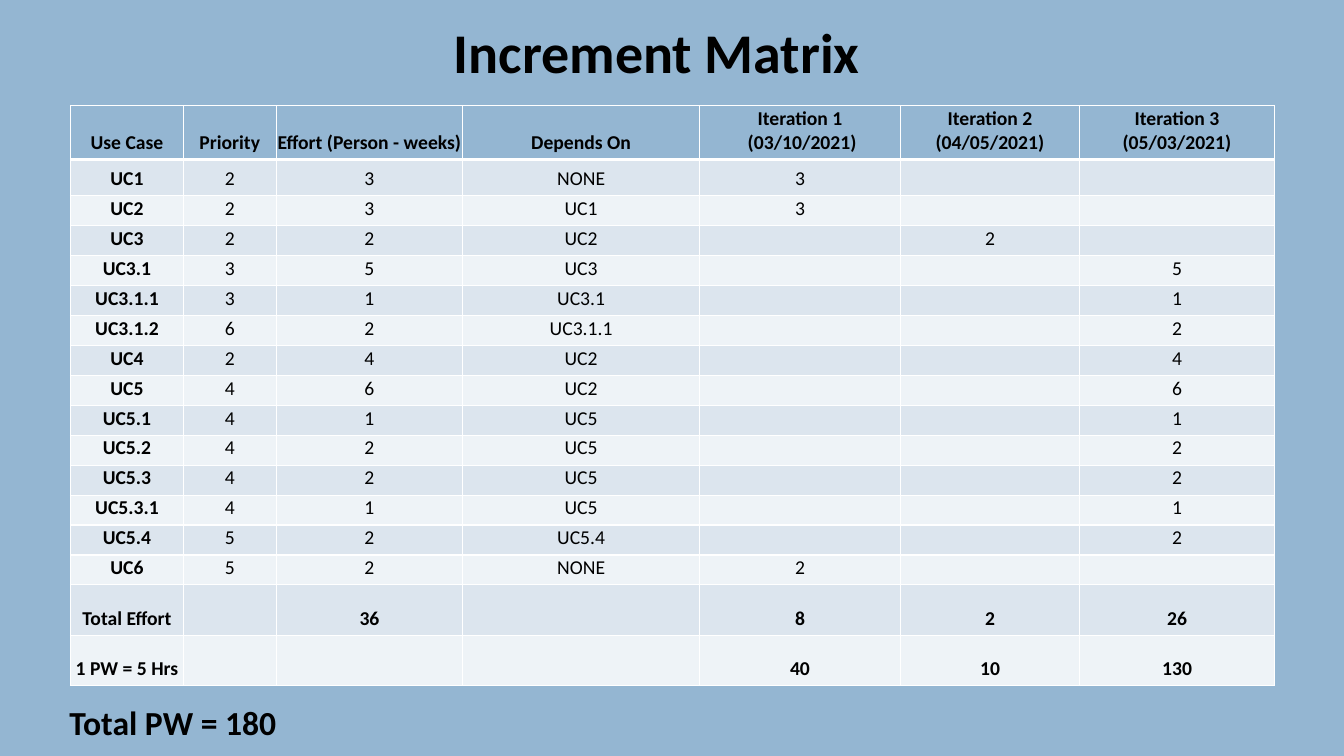
from lxml import etree
from pptx import Presentation
from pptx.dml.color import RGBColor
from pptx.enum.text import MSO_ANCHOR, PP_ALIGN
from pptx.oxml.ns import qn
from pptx.util import Inches, Pt

CENTER, LEFT = PP_ALIGN.CENTER, PP_ALIGN.LEFT
TOP, BOTTOM = MSO_ANCHOR.TOP, MSO_ANCHOR.BOTTOM
BLUE, WHITE, BLACK = "94B6D2", "FFFFFF", "000000"
BANDS = ("DCE5EE", "EEF3F7")
FONT = "Calibri"
SIZE = 14
HOURS = 5
WIDTHS = (1.12, 0.92, 1.85, 2.35, 1.99, 1.78, 1.93)
HEIGHTS = [0.53, 0.36] + [0.29] * 13 + [0.5] * 2
MARGINS = {"margin_left": 0.01, "margin_right": 0.01,
           "margin_top": 0.01, "margin_bottom": 0.05}
HEADS = ("Use Case", "Priority", "Effort (Person - weeks)", "Depends On",
         "Iteration 1\n (03/10/2021)", "Iteration 2 (04/05/2021)",
         "Iteration 3 (05/03/2021)")
# Use case, priority, effort, dependency, iteration
CASES = (
    ("UC1", 2, 3, "NONE", 1),
    ("UC2", 2, 3, "UC1", 1),
    ("UC3", 2, 2, "UC2", 2),
    ("UC3.1", 3, 5, "UC3", 3),
    ("UC3.1.1", 3, 1, "UC3.1", 3),
    ("UC3.1.2", 6, 2, "UC3.1.1", 3),
    ("UC4", 2, 4, "UC2", 3),
    ("UC5", 4, 6, "UC2", 3),
    ("UC5.1", 4, 1, "UC5", 3),
    ("UC5.2", 4, 2, "UC5", 3),
    ("UC5.3", 4, 2, "UC5", 3),
    ("UC5.3.1", 4, 1, "UC5", 3),
    ("UC5.4", 5, 2, "UC5.4", 3),
    ("UC6", 5, 2, "NONE", 1),
)


def color(code):
    """Turn a hex string into a colour."""
    return RGBColor.from_string(code)


def write(frame, text, size, bold, align):
    """Fill a text frame with formatted paragraphs."""
    frame.text = text
    for par in frame.paragraphs:
        par.alignment = align
        for run in par.runs:
            style = {"name": FONT, "size": Pt(size), "bold": bold}
            for key, value in style.items():
                setattr(run.font, key, value)
            run.font.color.rgb = color(BLACK)


def heading(shape, box, text, size, align):
    """Place a bold line of text in a shape."""
    shape.left, shape.top, shape.width, shape.height = map(Inches, box)
    frame = shape.text_frame
    frame.word_wrap = True
    frame.vertical_anchor = TOP
    write(frame, text, size, True, align)


def border(cell, side, width):
    """Draw one white edge of a cell."""
    line = etree.SubElement(cell._tc.get_or_add_tcPr(), qn(f"a:ln{side}"),
                            w=str(Pt(width)))
    fill = etree.SubElement(line, qn("a:solidFill"))
    etree.SubElement(fill, qn("a:srgbClr"), val=WHITE)


def fill_cell(cell, text, row, bold):
    """Write, frame and colour one cell."""
    for key, value in MARGINS.items():
        setattr(cell, key, Inches(value))
    cell.vertical_anchor = BOTTOM
    write(cell.text_frame, text, SIZE, bold, CENTER)
    if not text:
        par = cell.text_frame.paragraphs[0]
        etree.SubElement(par._p, qn("a:endParaRPr"), sz=str(SIZE * 100))
    edges = {"L": 1, "R": 1, "T": 3 if row == 1 else 1,
             "B": 3 if row == 0 else 1}
    for side, width in edges.items():
        border(cell, side, width)
    cell.fill.solid()
    cell.fill.fore_color.rgb = color(BANDS[(row - 1) % 2] if row else BLUE)


def matrix_rows():
    """List the header, use cases and totals."""
    rows = [HEADS]
    for name, rank, effort, needs, turn in CASES:
        slots = [effort if turn == n else "" for n in (1, 2, 3)]
        rows.append((name, rank, effort, needs, *slots))
    sums = [sum(case[2] for case in CASES if case[4] == n) for n in (1, 2, 3)]
    rows.append(("Total Effort", "", sum(sums), "", *sums))
    rows.append((f"1 PW = {HOURS} Hrs", "", "", "",
                 *[HOURS * total for total in sums]))
    return rows


def add_matrix(slide):
    """Add the increment table."""
    rows = matrix_rows()
    box = (0.7, 1.05, sum(WIDTHS), sum(HEIGHTS))
    table = slide.shapes.add_table(len(rows), len(WIDTHS),
                                   *map(Inches, box)).table
    for col, width in zip(table.columns, WIDTHS):
        col.width = Inches(width)
    for line, height in zip(table.rows, HEIGHTS):
        line.height = Inches(height)
    for r, row in enumerate(rows):
        for c, value in enumerate(row):
            bold = c == 0 or r == 0 or r > len(CASES)
            fill_cell(table.cell(r, c), str(value), r, bold)


def main():
    """Build the slide and save it."""
    deck = Presentation()
    deck.slide_width, deck.slide_height = Inches(13.33), Inches(7.5)
    slide = deck.slides.add_slide(deck.slide_layouts[5])
    slide.background.fill.solid()
    slide.background.fill.fore_color.rgb = color(BLUE)
    add_matrix(slide)
    heading(slide.shapes.title, (4.25, 0.12, 4.53, 0.8),
            "Increment Matrix", 40, CENTER)
    box = (0.59, 6.91, 4.53, 0.5)
    note = slide.shapes.add_textbox(*map(Inches, box))
    heading(note, box, "Total PW = 180", 24, LEFT)
    deck.save("out.pptx")


main()
